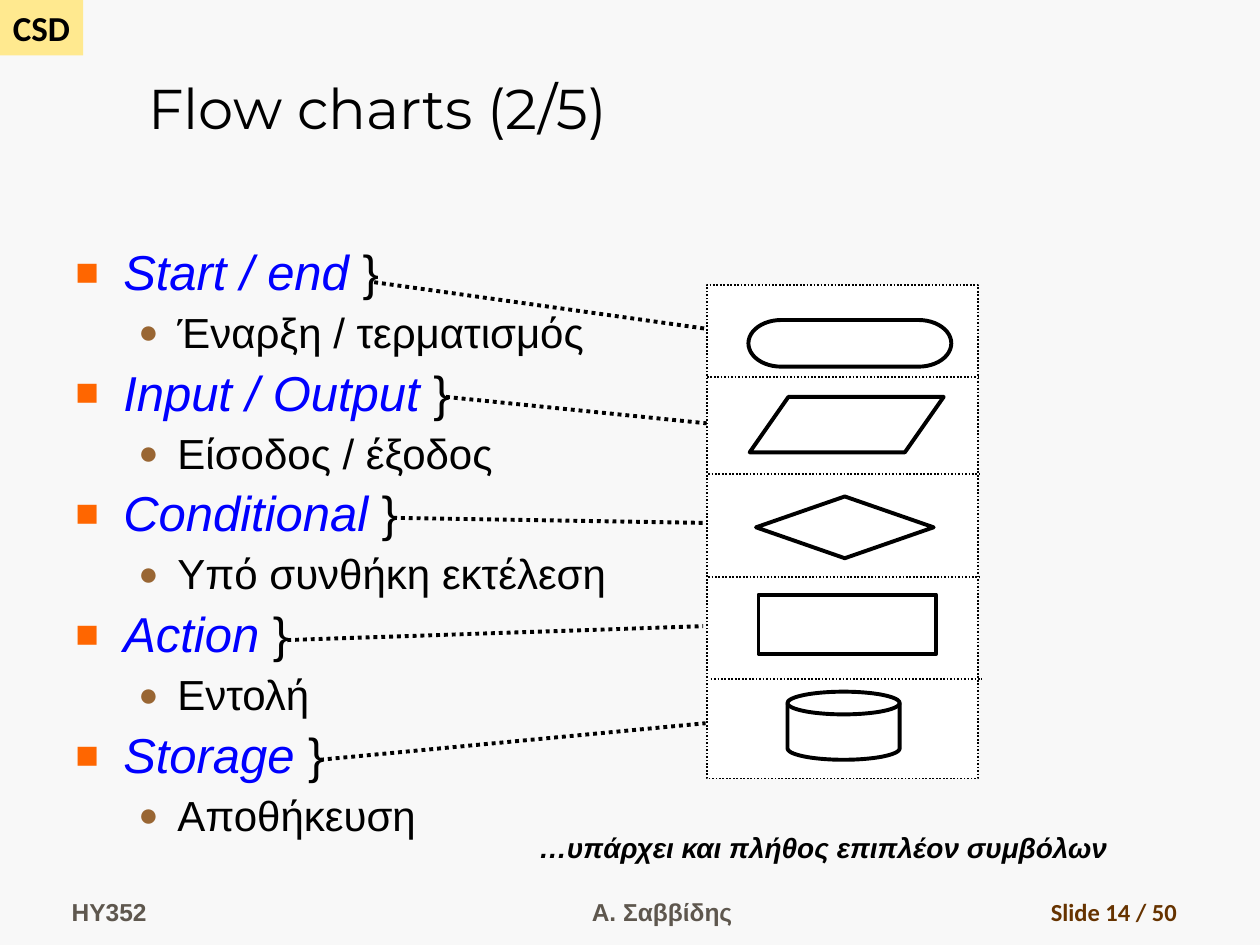
from pptx import Presentation
from pptx.dml.color import RGBColor
from pptx.enum.dml import MSO_LINE as Dash
from pptx.enum.shapes import MSO_CONNECTOR as Conn, MSO_SHAPE as Geo
from pptx.enum.text import MSO_ANCHOR as Anchor, PP_ALIGN as Align
from pptx.oxml.ns import qn
from pptx.util import Inches, Pt
from lxml.etree import SubElement as Sub

BLACK = RGBColor(0, 0, 0)
WHITE = RGBColor(255, 255, 255)
PAPER = RGBColor(0xF8, 0xF8, 0xF8)
YELLOW = RGBColor(0xFF, 0xE9, 0x8F)
BLUE = RGBColor(0, 0, 255)
GRAY = RGBColor(0x5E, 0x57, 0x4E)
BROWN = RGBColor(0x66, 0x33, 0)

# Content: term, meaning, lead line start and end
TERMS = [
    ("Start / end", "Έναρξη / τερματισμός", (2.97, 2.24), (5.61, 2.61)),
    ("Input / Output", "Είσοδος / έξοδος", (3.54, 3.15), (5.61, 3.36)),
    ("Conditional", "Υπό συνθήκη εκτέλεση", (3.12, 4.11), (5.6, 4.15)),
    ("Action", "Εντολή", (2.28, 5.08), (5.58, 4.97)),
    ("Storage", "Αποθήκευση", (2.54, 6.03), (5.6, 5.74)),
]
FRAME = (5.61, 2.26, 2.15, 3.92)
SYMBOLS = [
    (Geo.FLOWCHART_TERMINATOR, (5.94, 2.54, 1.61, 0.37)),
    (Geo.FLOWCHART_DATA, (5.95, 3.15, 1.54, 0.44)),
    (Geo.FLOWCHART_DECISION, (6, 3.94, 1.41, 0.49)),
    (Geo.FLOWCHART_PROCESS, (6.02, 4.72, 1.41, 0.47)),
    (Geo.FLOWCHART_MAGNETIC_DISK, (6.25, 5.49, 0.89, 0.54)),
]
RULES = [(5.61, 2.99), (5.62, 3.76), (5.62, 4.58), (5.64, 5.39)]

# Text boxes: text, place, anchor, alignment, wrap, font
LABELS = [
    ("HY352", (0.47, 6.9, 2.19, 0.5), Anchor.BOTTOM, Align.LEFT, True,
     dict(name="Arial", size=Pt(14), bold=True, color=GRAY)),
    ("Α. Σαββίδης", (3.67, 6.9, 3.17, 0.5), Anchor.BOTTOM, Align.CENTER, True,
     dict(name="Arial", size=Pt(14), bold=True, color=GRAY)),
    ("Slide 14 / 50", (7.36, 6.9, 2.08, 0.5), Anchor.BOTTOM, Align.RIGHT, True,
     dict(name="Calibri", size=Pt(14), bold=True, color=BROWN)),
    ("Flow charts (2/5)", (1.08, 0.17, 8.92, 1), Anchor.BOTTOM, Align.LEFT, True,
     dict(name="Montserrat", size=Pt(32), color=BLACK)),
    ("…υπάρχει και πλήθος επιπλέον συμβόλων", (4.18, 6.54, 5.31, 0.4),
     Anchor.TOP, Align.LEFT, False,
     dict(name="Arial", size=Pt(16), bold=True, italic=True, color=BLACK)),
]

# Outline level: bullet, bullet colour, text indent, hanging indent
LEVELS = [("■", "FF6600", 0.38, 0.38), ("●", "996633", 0.81, 0.31)]


def style(font, form):
    for key, value in form.items():
        if key == "color":
            font.color.rgb = value
        else:
            setattr(font, key, value)


def add_run(para, text, **form):
    run = para.add_run()
    run.text = text
    style(run.font, form)


def add_box(shapes, kind, place, fill, width=None, dash=None):
    box = shapes.add_shape(kind, *map(Inches, place))
    box.shadow.inherit = False
    box.fill.solid()
    box.fill.fore_color.rgb = fill
    if width:
        box.line.color.rgb = BLACK
        box.line.width = Pt(width)
        box.line.dash_style = dash
    else:
        box.line.fill.background()
    return box


def add_line(shapes, start, end, width):
    line = shapes.add_connector(Conn.STRAIGHT, *map(Inches, start + end))
    line.line.color.rgb = BLACK
    line.line.width = Pt(width)
    line.line.dash_style = Dash.ROUND_DOT
    Sub(line._element.spPr, qn("a:effectLst"))


def add_item(frame, level, first=False):
    mark, color, left, hang = LEVELS[level]
    para = frame.paragraphs[0] if first else frame.add_paragraph()
    para.level = level
    para.line_spacing = 0.9
    if not first:
        para.space_before = Pt(6.4)
    props = para._p.get_or_add_pPr()
    props.set("marL", str(Inches(left)))
    props.set("indent", str(-Inches(hang)))
    Sub(Sub(props, qn("a:buClr")), qn("a:srgbClr"), val=color)
    Sub(props, qn("a:buSzPct"), val="80000")
    Sub(props, qn("a:buFont"), typeface="Arial")
    Sub(props, qn("a:buChar"), char=mark)
    return para


deck = Presentation()
deck.slide_width, deck.slide_height = Inches(10), Inches(7.5)
slide = deck.slides.add_slide(deck.slide_layouts[6])
slide.background.fill.solid()
slide.background.fill.fore_color.rgb = PAPER
shapes = slide.shapes

# Corner tag
tag = add_box(shapes, Geo.RECTANGLE, (0, 0, 0.66, 0.44), YELLOW)
tag.text_frame.word_wrap = False
add_run(tag.text_frame.paragraphs[0], "CSD", name="Calibri", size=Pt(20),
        bold=True, color=BLACK)

# Title, remark and footer
for text, place, anchor, align, wrap, form in LABELS:
    frame = shapes.add_textbox(*map(Inches, place)).text_frame
    frame.word_wrap = wrap
    frame.vertical_anchor = anchor
    frame.paragraphs[0].alignment = align
    add_run(frame.paragraphs[0], text, **form)

# Outline with lead lines
body = shapes.add_textbox(*map(Inches, (0.5, 1.92, 4.72, 4.83))).text_frame
body.word_wrap = True
for i, (term, sense, start, end) in enumerate(TERMS):
    para = add_item(body, 0, first=i == 0)
    add_run(para, term, name="Arial", size=Pt(28), italic=True, color=BLUE)
    add_run(para, " }", name="Arial", size=Pt(28), color=BLACK)
    add_run(add_item(body, 1), sense, name="Arial", size=Pt(24), color=BLACK)
    add_line(shapes, start, end, 2.25)

# Symbol panel
panel = shapes.add_group_shape().shapes
add_box(panel, Geo.RECTANGLE, FRAME, WHITE, 1, Dash.ROUND_DOT)
for kind, place in SYMBOLS:
    add_box(panel, kind, place, WHITE, 2.25)
for x, y in RULES:
    add_line(panel, (x, y), (x + FRAME[2], y), 1)

deck.save("out.pptx")
